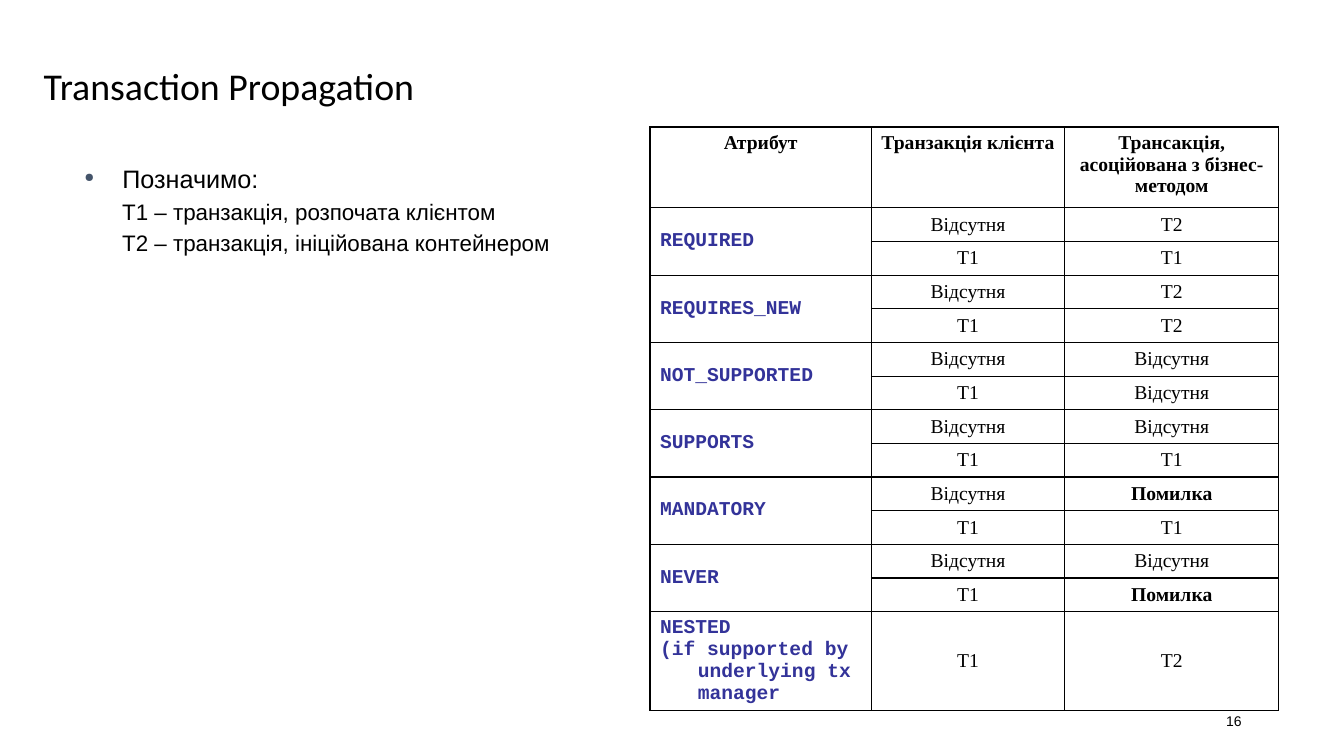
from lxml.etree import SubElement
from pptx import Presentation
from pptx.dml.color import RGBColor as Color
from pptx.enum.text import MSO_ANCHOR as Anchor, PP_ALIGN as Align
from pptx.oxml.ns import qn
from pptx.util import Pt

EMU_PER_PX = 9525
HANG = 36
COLORS = {"text": "000000", "attribute": "333399", "bullet": "44546A"}

TITLE = {"size": Pt(27), "name": "Calibri", "bold": False}
HEADING = {"size": Pt(18), "name": "Arial"}
DETAIL = {"size": Pt(16), "name": "Arial"}
NUMBER = {"size": Pt(10), "name": "Arial"}
VALUE = {"size": Pt(14), "name": "Times New Roman", "bold": False}
STRONG = {**VALUE, "bold": True}
ATTRIBUTE = {**STRONG, "name": "Courier New"}

COLUMNS = [211, 184, 204]
HEADER_HEIGHT, ROW_HEIGHT, NESTED_HEIGHT = 77, 32, 94
HEADERS = ["Атрибут", "Транзакція клієнта", "Трансакція, асоційована з бізнес-методом"]
ABSENT, ERROR = "Відсутня", "Помилка"
CLIENT_STATES = [ABSENT, "T1"]
OUTCOMES = {
    "REQUIRED": ["T2", "T1"],
    "REQUIRES_NEW": ["T2", "T2"],
    "NOT_SUPPORTED": [ABSENT, ABSENT],
    "SUPPORTS": [ABSENT, "T1"],
    "MANDATORY": [ERROR, "T1"],
    "NEVER": [ABSENT, ERROR],
}
NESTED = ["NESTED", "(if supported by underlying tx manager"]


def px(value):
    return int(value * EMU_PER_PX)


def apply(target, values):
    for name, value in values.items():
        setattr(target, name, value)


def write(para, text, font, color="text", **layout):
    span = para.add_run()
    span.text = text
    apply(span.font, font)
    span.font.color.rgb = Color.from_string(COLORS[color])
    apply(para, layout)


def indent(para, left, first):
    props = para._p.get_or_add_pPr()
    props.set("marL", str(px(left)))
    props.set("indent", str(px(first)))
    return props


def add_bullet(props):
    color = SubElement(props, qn("a:buClr"))
    SubElement(color, qn("a:srgbClr"), val=COLORS["bullet"])
    SubElement(props, qn("a:buSzPct"), val="50000")
    SubElement(props, qn("a:buChar"), char="●")


def add_frame(page, left, top, width, height, anchor):
    box = page.shapes.add_textbox(px(left), px(top), px(width), px(height))
    apply(box.text_frame, {"word_wrap": True, "vertical_anchor": anchor})
    return box.text_frame


def add_title(page, text):
    title = page.shapes.title
    apply(title, {"left": px(32), "top": px(28), "width": px(792), "height": px(113)})
    apply(title.text_frame, {"word_wrap": True, "vertical_anchor": Anchor.MIDDLE})
    write(title.text_frame.paragraphs[0], text, TITLE, alignment=Align.LEFT, line_spacing=0.9)


def add_notation(page, heading, details):
    frame = add_frame(page, 71, 151, 855, 84, Anchor.TOP)
    para = frame.paragraphs[0]
    write(para, heading, HEADING, space_before=Pt(4))
    add_bullet(indent(para, HANG, -HANG))
    for detail in details:
        para = frame.add_paragraph()
        write(para, detail, DETAIL, level=1, space_before=Pt(3))
        indent(para, 2 * HANG, -HANG)


def style_cell(cell):
    props = cell._tc.get_or_add_tcPr()
    for side in ("lnL", "lnR", "lnT", "lnB"):
        line = SubElement(props, qn(f"a:{side}"), w=str(Pt(1)))
        fill = SubElement(line, qn("a:solidFill"))
        SubElement(fill, qn("a:srgbClr"), val=COLORS["text"])
    cell.fill.background()


def fill_header(cell, text):
    apply(cell, {"margin_left": px(8), "margin_right": px(8)})
    write(cell.text_frame.paragraphs[0], text, STRONG, alignment=Align.CENTER)


def fill_attribute(cell, lines):
    apply(cell, {"vertical_anchor": Anchor.MIDDLE, "margin_top": px(2), "margin_bottom": px(2)})
    frame = cell.text_frame
    for number, text in enumerate(lines):
        para = frame.add_paragraph() if number else frame.paragraphs[0]
        write(para, text, ATTRIBUTE, "attribute")
        indent(para, HANG, -HANG)


def fill_value(cell, text):
    cell.vertical_anchor = Anchor.MIDDLE
    para = cell.text_frame.paragraphs[0]
    write(para, text, STRONG if text == ERROR else VALUE, alignment=Align.CENTER)
    indent(para, HANG, -HANG)


def add_propagation_table(page):
    state_count = len(CLIENT_STATES)
    body_rows = len(OUTCOMES) * state_count
    heights = [HEADER_HEIGHT] + [ROW_HEIGHT] * body_rows + [NESTED_HEIGHT]
    table = page.shapes.add_table(
        len(heights), len(COLUMNS), px(619), px(121), px(sum(COLUMNS)), px(sum(heights))
    ).table
    apply(table, {"first_row": False, "horz_banding": False})
    for column, width in zip(table.columns, COLUMNS):
        column.width = px(width)
    for row, height in zip(table.rows, heights):
        row.height = px(height)
    for cell in table.iter_cells():
        style_cell(cell)

    for column, text in enumerate(HEADERS):
        fill_header(table.cell(0, column), text)
    for group, (attribute, outcomes) in enumerate(OUTCOMES.items()):
        top = 1 + group * state_count
        table.cell(top, 0).merge(table.cell(top + state_count - 1, 0))
        fill_attribute(table.cell(top, 0), [attribute])
        for row, values in enumerate(zip(CLIENT_STATES, outcomes), top):
            for column, text in enumerate(values, 1):
                fill_value(table.cell(row, column), text)
    last = len(heights) - 1
    fill_attribute(table.cell(last, 0), NESTED)
    for column, text in enumerate(["T1", "T2"], 1):
        fill_value(table.cell(last, column), text)


def add_page_number(page, text):
    frame = add_frame(page, 904, 668, 288, 38, Anchor.MIDDLE)
    write(frame.paragraphs[0], text, NUMBER, alignment=Align.RIGHT)


def main():
    deck = Presentation()
    apply(deck, {"slide_width": px(1280), "slide_height": px(720)})
    page = deck.slides.add_slide(deck.slide_layouts[5])
    add_page_number(page, "16")
    add_title(page, "Transaction Propagation")
    add_propagation_table(page)
    add_notation(
        page,
        "Позначимо:",
        ["T1 – транзакція, розпочата клієнтом", "T2 – транзакція, ініційована контейнером"],
    )
    deck.save("out.pptx")


if __name__ == "__main__":
    main()
